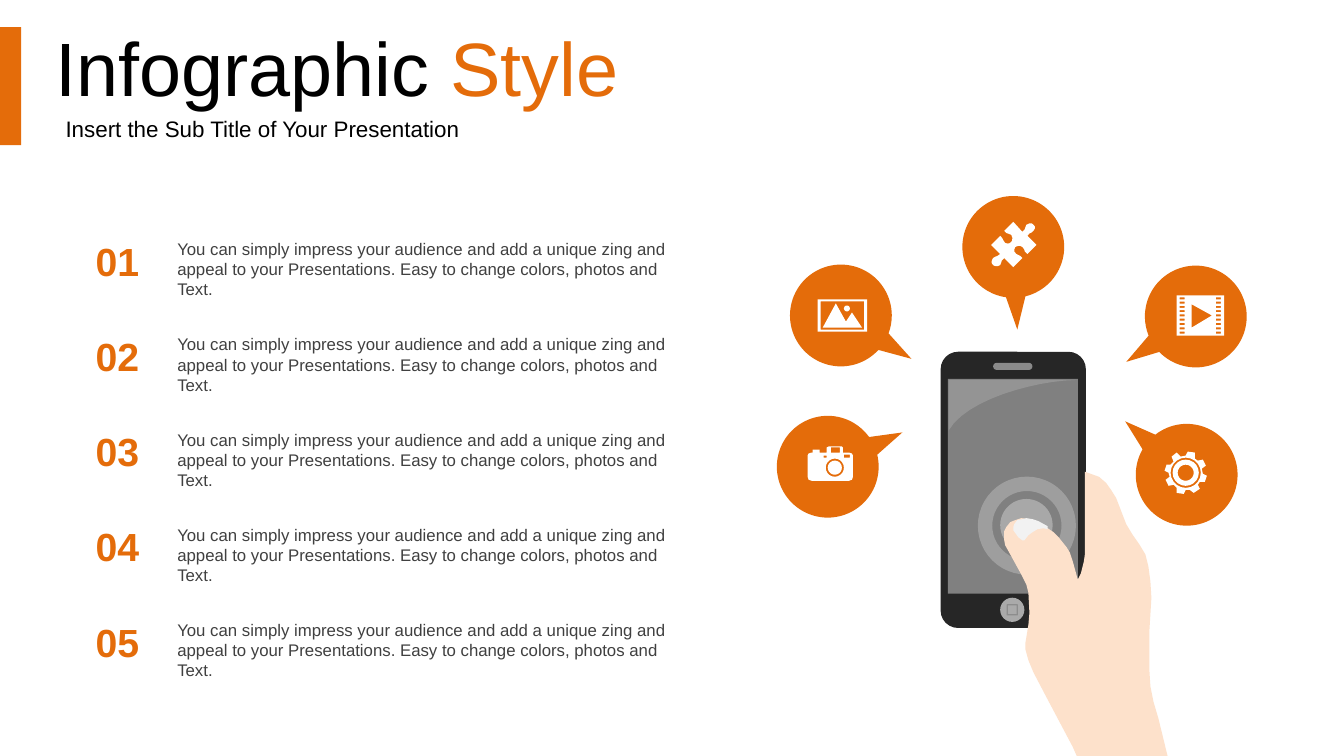
from dataclasses import dataclass
from math import cos, pi, sin

from lxml import etree
from pptx import Presentation
from pptx.dml.color import RGBColor
from pptx.enum.shapes import MSO_SHAPE
from pptx.enum.text import MSO_ANCHOR, MSO_AUTO_SIZE, PP_ALIGN
from pptx.oxml.ns import qn
from pptx.util import Inches, Pt

RECT, ROUND, OVAL = MSO_SHAPE.RECTANGLE, MSO_SHAPE.ROUNDED_RECTANGLE, MSO_SHAPE.OVAL
CALLOUT = MSO_SHAPE.OVAL_CALLOUT
MIDDLE, TOP = MSO_ANCHOR.MIDDLE, MSO_ANCHOR.TOP
LEFT, CENTER = PP_ALIGN.LEFT, PP_ALIGN.CENTER
NO_FIT = MSO_AUTO_SIZE.NONE


@dataclass(frozen=True)
class Theme:
    font: str = "Arial"
    accent: str = "E46C0A"
    black: str = "000000"
    body: str = "404040"
    white: str = "FFFFFF"
    phone: str = "262626"
    screen: str = "808080"
    button: str = "ECECEC"
    skin: str = "FDE1CB"
    nail: str = "F2F2F2"
    title_size: int = 54
    subtitle_size: int = 16
    number_size: int = 28
    body_size: int = 12


THEME = Theme()
ITEM_TEXT = ("You can simply impress your audience and add a unique zing and appeal "
             "to your Presentations. Easy to change colors, photos and Text.")
BUBBLES = [((10.05, 2.45), (10.09, 3.27)), ((11.86, 3.14), (11.17, 3.59)),
           ((11.77, 4.71), (11.16, 4.18)), ((8.34, 3.13), (9.04, 3.56)),
           ((8.21, 4.63), (8.95, 4.29))]
HAND = [
    (10.76, 4.68), (10.9, 4.73), (10.97, 4.79), (11.02, 4.86), (11.07, 4.94),
    (11.17, 5.2), (11.23, 5.3), (11.3, 5.4), (11.36, 5.5), (11.39, 5.62), (11.41, 5.77),
    (11.42, 5.93), (11.4, 6.26), (11.4, 6.65), (11.41, 6.81), (11.44, 6.96), (11.49, 7.13),
    (11.58, 7.5), (10.68, 7.5), (10.64, 7.41), (10.37, 6.9), (10.25, 6.67), (10.2, 6.55),
    (10.17, 6.44), (10.17, 6.38), (10.2, 6.2), (10.21, 6.08), (10.2, 5.88), (10.18, 5.8),
    (10.13, 5.7), (10.02, 5.5), (9.97, 5.41), (9.96, 5.36), (9.96, 5.27), (9.98, 5.23),
    (10.02, 5.18), (10.07, 5.16), (10.13, 5.14), (10.2, 5.15), (10.26, 5.17), (10.33, 5.2),
    (10.39, 5.24), (10.45, 5.28), (10.5, 5.33), (10.58, 5.43), (10.61, 5.48), (10.64, 5.57),
    (10.69, 5.75), (10.72, 5.69), (10.75, 5.57), (10.76, 5.5)]
NAIL = [
    (10.18, 5.14), (10.24, 5.15), (10.3, 5.17), (10.39, 5.22), (10.39, 5.25), (10.35, 5.24),
    (10.29, 5.25), (10.24, 5.28), (10.2, 5.31), (10.16, 5.36), (10.14, 5.36), (10.1, 5.33),
    (10.05, 5.26), (10.05, 5.23), (10.06, 5.2), (10.09, 5.16), (10.14, 5.15)]
GLARE = [(9.41, 3.77), (10.67, 3.77), (10.25, 3.78, 9.58, 3.97, 9.41, 4.27)]
GEAR = [
    (11.85, 4.49), (11.85, 4.55), (11.88, 4.57), (11.93, 4.56), (11.96, 4.62), (11.92, 4.65),
    (11.93, 4.7), (11.97, 4.72), (11.95, 4.78), (11.9, 4.78), (11.88, 4.81), (11.9, 4.85),
    (11.84, 4.89), (11.8, 4.86), (11.76, 4.86), (11.74, 4.9), (11.67, 4.89), (11.67, 4.84),
    (11.64, 4.81), (11.59, 4.82), (11.56, 4.76), (11.6, 4.73), (11.59, 4.69), (11.55, 4.67),
    (11.57, 4.61), (11.61, 4.61), (11.64, 4.58), (11.62, 4.53), (11.67, 4.49), (11.71, 4.53),
    (11.76, 4.52), (11.78, 4.48)]
CAMERA = [
    (8.22, 4.43), (8.35, 4.43), (8.36, 4.44), (8.36, 4.49), (8.42, 4.49), (8.45, 4.5),
    (8.46, 4.52), (8.46, 4.73), (8.45, 4.76), (8.42, 4.77), (8.05, 4.77), (8.02, 4.76),
    (8.01, 4.73), (8.01, 4.52), (8.02, 4.5), (8.05, 4.49), (8.06, 4.49), (8.06, 4.46),
    (8.13, 4.46), (8.13, 4.49), (8.2, 4.49), (8.2, 4.44)]
PUZZLE = [
    (10.25, 2.23), (10.27, 2.24, 10.27, 2.27, 10.25, 2.29),
    (10.23, 2.32, 10.21, 2.3, 10.19, 2.34), (10.28, 2.43), (10.19, 2.52),
    (10.15, 2.5, 10.17, 2.47, 10.14, 2.45), (10.12, 2.43, 10.09, 2.44, 10.07, 2.45),
    (10.06, 2.47, 10.05, 2.5, 10.08, 2.52), (10.11, 2.54, 10.12, 2.53, 10.14, 2.56),
    (10.05, 2.65), (9.96, 2.56), (9.92, 2.59, 9.94, 2.6, 9.92, 2.63),
    (9.9, 2.65, 9.86, 2.64, 9.85, 2.63), (9.83, 2.61, 9.83, 2.59, 9.85, 2.56),
    (9.87, 2.54, 9.89, 2.55, 9.92, 2.52), (9.83, 2.43), (9.92, 2.34),
    (9.95, 2.36, 9.94, 2.38, 9.97, 2.41), (9.99, 2.42, 10.01, 2.42, 10.03, 2.4),
    (10.04, 2.39, 10.05, 2.36, 10.03, 2.33), (10, 2.31, 9.99, 2.33, 9.96, 2.29),
    (10.05, 2.2), (10.14, 2.3), (10.18, 2.27, 10.16, 2.26, 10.18, 2.23),
    (10.21, 2.21, 10.24, 2.21, 10.25, 2.23)]


def box(left, top, width, height):
    return [(left, top), (left + width, top), (left + width, top + height), (left, top + height)]


def circle(center, radius, steps=20):
    angles = [2 * pi * i / steps for i in range(steps)]
    return [(center[0] + radius * cos(a), center[1] + radius * sin(a)) for a in angles]


def flatten(outline, steps):
    points = []
    for entry in outline:
        if len(entry) == 2:
            points.append(entry)
            continue
        curve = [points[-1], entry[:2], entry[2:4], entry[4:]]
        for t in (i / steps for i in range(1, steps + 1)):
            weights = ((1 - t) ** 3, 3 * t * (1 - t) ** 2, 3 * t * t * (1 - t), t ** 3)
            points.append(tuple(sum(w * p[axis] for w, p in zip(weights, curve))
                                for axis in (0, 1)))
    return points


def paint(shape, fill=None, line=None, weight=1, opacity=100):
    shape.shadow.inherit = False
    if fill:
        shape.fill.solid()
        shape.fill.fore_color.rgb = RGBColor.from_string(fill)
    else:
        shape.fill.background()
    if line:
        shape.line.color.rgb = RGBColor.from_string(line)
        shape.line.width = Pt(weight)
    else:
        shape.line.fill.background()
    if opacity < 100:
        for color in shape.element.spPr.iter(qn("a:srgbClr")):
            etree.SubElement(color, qn("a:alpha"), val=str(opacity * 1000))


def add_preset(shapes, kind, bounds, adjust=(), **look):
    shape = shapes.add_shape(kind, *map(Inches, bounds))
    for index, value in enumerate(adjust):
        shape.adjustments[index] = value
    paint(shape, **look)


def add_outline(shapes, outlines, steps=3, **look):
    contours = [[(Inches(x), Inches(y)) for x, y in flatten(o, steps)] for o in outlines]
    builder = shapes.build_freeform(*contours[0][0], scale=1.0)
    for index, contour in enumerate(contours):
        if index:
            builder.move_to(*contour[0])
        builder.add_line_segments(contour[1:], close=True)
    paint(builder.convert_to_shape(), **look)


def add_bubble(shapes, center, tip, size=1.01):
    bounds = (center[0] - size / 2, center[1] - size / 2, size, size)
    pointer = [(end - middle) / size for end, middle in zip(tip, center)]
    add_preset(shapes, CALLOUT, bounds, pointer, fill=THEME.accent)


def write(shape, runs, size, bold=False, align=LEFT, anchor=TOP, insets=(0.1, 0.05, 0.1, 0.05),
          spacing=None):
    frame = shape.text_frame
    frame.word_wrap, frame.auto_size, frame.vertical_anchor = True, NO_FIT, anchor
    (frame.margin_left, frame.margin_top,
     frame.margin_right, frame.margin_bottom) = map(Inches, insets)
    paragraph = frame.paragraphs[0]
    paragraph.alignment, paragraph.space_before = align, Pt(0)
    if spacing:
        paragraph.line_spacing = spacing
    for words, color in runs:
        run = paragraph.add_run()
        run.text = words
        run.font.name, run.font.size, run.font.bold = THEME.font, Pt(size), bold
        run.font.color.rgb = RGBColor.from_string(color)


def place(shape, *bounds):
    shape.left, shape.top, shape.width, shape.height = map(Inches, bounds)


def add_heading(slide):
    add_preset(slide.shapes, RECT, (0, 0.27, 0.21, 1.17), fill=THEME.accent)
    title, subtitle = slide.placeholders
    place(title, 0.45, 0.29, 12.55, 0.79)
    write(title, [("Infographic ", THEME.black), ("Style", THEME.accent)], THEME.title_size,
          anchor=MIDDLE, insets=(0.1, 0.1, 0.1, 0.05), spacing=0.9)
    place(subtitle, 0.45, 1.08, 12.55, 0.38)
    write(subtitle, [("Insert the Sub Title of Your Presentation", THEME.black)],
          THEME.subtitle_size, anchor=MIDDLE, insets=(0.2, 0.1, 0.1, 0.05), spacing=0.9)


def add_item(shapes, index, pitch=0.945):
    shift = index * pitch
    detail = shapes.add_textbox(*map(Inches, (1.66, 2.32 + shift, 5.31, 0.65)))
    write(detail, [(ITEM_TEXT, THEME.body)], THEME.body_size)
    number = shapes.add_textbox(*map(Inches, (0.82, 2.3 + shift, 0.69, 0.57)))
    write(number, [(f"{index + 1:02d}", THEME.accent)], THEME.number_size, bold=True,
          align=CENTER, anchor=MIDDLE)


def add_phone(shapes):
    add_preset(shapes, ROUND, (9.33, 3.49, 1.44, 2.74), [0.12], fill=THEME.phone)
    add_preset(shapes, RECT, (9.4, 3.76, 1.29, 2.13), fill=THEME.screen)
    add_preset(shapes, ROUND, (9.85, 3.6, 0.39, 0.07), [0.5], fill=THEME.button, opacity=51)
    add_preset(shapes, OVAL, (9.92, 5.93, 0.24, 0.24), fill=THEME.button, opacity=67)
    add_preset(shapes, RECT, (9.99, 6, 0.1, 0.1), line=THEME.phone, opacity=22)
    add_outline(shapes, [GLARE], steps=12, fill=THEME.white, opacity=16)
    add_preset(shapes, OVAL, (9.92, 4.95, 0.52, 0.52), fill=THEME.white, opacity=32)
    add_preset(shapes, OVAL, (9.77, 4.8, 0.83, 0.83), line=THEME.white, weight=10.25, opacity=24)
    add_outline(shapes, [HAND], fill=THEME.skin)
    add_outline(shapes, [NAIL], fill=THEME.nail)


def add_icons(shapes):
    holes = [box(x, 2.95 + 0.0425 * row, 0.05, 0.02) for x in (11.7, 12.06) for row in range(9)]
    film = [box(11.67, 2.93, 0.47, 0.4), [(11.82, 3.02), (11.82, 3.25), (12.02, 3.13)]] + holes
    peaks = [(8.29, 3.01), (8.39, 3.19), (8.45, 3.1), (8.55, 3.25), (8.16, 3.25)]
    photo = [box(8.11, 2.97, 0.49, 0.32), box(8.14, 2.99, 0.43, 0.28), peaks,
             circle((8.4, 3.06), 0.03, 10)]
    gear = [GEAR] + [circle((11.76, 4.69), radius) for radius in (0.15, 0.13, 0.08)]
    camera = [CAMERA, box(8.24, 4.44, 0.09, 0.05), box(8.17, 4.52, 0.03, 0.02),
              box(8.37, 4.51, 0.06, 0.03), circle((8.28, 4.64), 0.09), circle((8.28, 4.64), 0.07)]
    for icon in (film, photo, gear, camera, [PUZZLE]):
        add_outline(shapes, icon, fill=THEME.white)


def main():
    deck = Presentation()
    deck.slide_width, deck.slide_height = Inches(13.33), Inches(7.5)
    slide = deck.slides.add_slide(deck.slide_layouts[0])
    add_heading(slide)
    add_phone(slide.shapes.add_group_shape().shapes)
    for center, tip in BUBBLES:
        add_bubble(slide.shapes, center, tip)
    for index in range(5):
        add_item(slide.shapes, index)
    add_icons(slide.shapes)
    deck.save("out.pptx")


if __name__ == "__main__":
    main()
